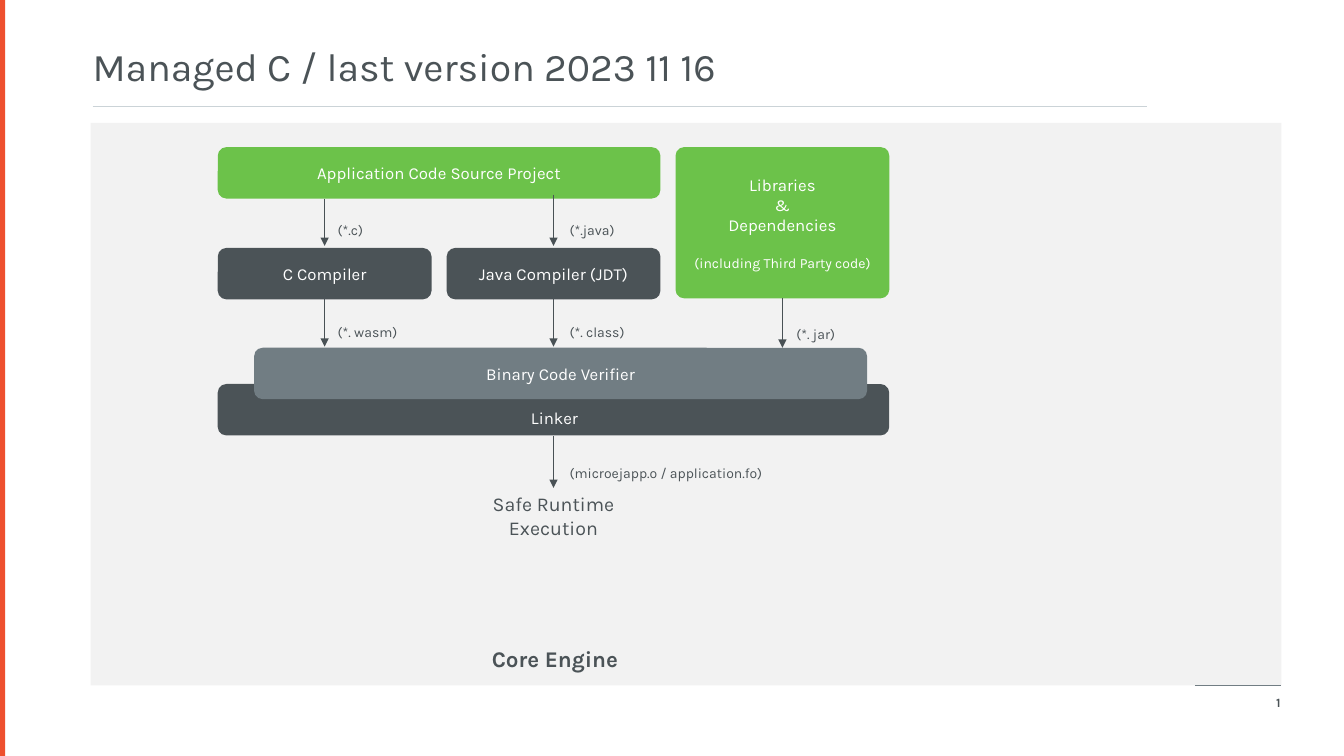
from dataclasses import dataclass

import pptx
import pptx.dml.color
import pptx.enum.shapes
import pptx.enum.text
import pptx.oxml
import pptx.oxml.ns
import pptx.util

Inches = pptx.util.Inches
Align = pptx.enum.text.PP_ALIGN
Anchor = pptx.enum.text.MSO_ANCHOR
ShapeType = pptx.enum.shapes.MSO_SHAPE

COLORS = {
    "orange": "EE502E", "panel": "F2F2F2", "green": "6CC24A", "dark": "4B5357",
    "slate": "717D83", "arrow": "495155", "rule": "CBD3D7", "white": "FFFFFF",
}
FONT = "Karla"
INSETS = ("margin_left", "margin_top", "margin_right", "margin_bottom")


@dataclass
class Text:
    lines: tuple[str, ...]
    size: float = 12
    color: str = "white"
    bold: bool = False
    align: Align = Align.CENTER
    anchor: Anchor = Anchor.MIDDLE
    insets: tuple[float, ...] = (0.1, 0.05, 0.1, 0.05)


@dataclass
class Block:
    left: float
    top: float
    width: float
    height: float
    fill: str
    text: Text | None = None
    kind: ShapeType = ShapeType.ROUNDED_RECTANGLE
    radius: float | None = None


@dataclass
class Label:
    left: float
    top: float
    width: float
    height: float
    text: Text


@dataclass
class Line:
    start: tuple[float, float]
    end: tuple[float, float]
    color: str = "arrow"
    weight: float = 1
    arrow: bool = True


def rgb(name: str) -> pptx.dml.color.RGBColor:
    return pptx.dml.color.RGBColor.from_string(COLORS[name])


def write_text(frame, text: Text) -> None:
    formats = {"word_wrap": True, "vertical_anchor": text.anchor}
    formats.update(zip(INSETS, map(Inches, text.insets)))
    for name, value in formats.items():
        setattr(frame, name, value)
    for index, line in enumerate(text.lines):
        paragraph = frame.paragraphs[0] if index == 0 else frame.add_paragraph()
        paragraph.alignment = text.align
        run = paragraph.add_run()
        run.text = line
        font = {"name": FONT, "size": pptx.util.Pt(text.size), "bold": text.bold}
        for name, value in font.items():
            setattr(run.font, name, value)
        run.font.color.rgb = rgb(text.color)


def add_block(slide, block: Block):
    shape = slide.shapes.add_shape(
        block.kind, *map(Inches, (block.left, block.top, block.width, block.height)))
    shape.shadow.inherit = False
    shape.fill.solid()
    shape.fill.fore_color.rgb = rgb(block.fill)
    shape.line.fill.background()
    if block.radius is not None:
        shape.adjustments[0] = block.radius
    if block.text:
        write_text(shape.text_frame, block.text)
    return shape


def add_label(slide, label: Label) -> None:
    box = slide.shapes.add_textbox(
        *map(Inches, (label.left, label.top, label.width, label.height)))
    write_text(box.text_frame, label.text)


def add_line(slide, line: Line) -> None:
    connector = slide.shapes.add_connector(
        pptx.enum.shapes.MSO_CONNECTOR.STRAIGHT, *map(Inches, line.start + line.end))
    connector.line.color.rgb = rgb(line.color)
    connector.line.width = pptx.util.Pt(line.weight)
    if line.arrow:
        tail = pptx.oxml.parse_xml(
            f'<a:tailEnd {pptx.oxml.ns.nsdecls("a")} type="triangle"/>')
        connector.line._get_or_add_ln().append(tail)
    effects = pptx.oxml.parse_xml(f'<a:effectLst {pptx.oxml.ns.nsdecls("a")}/>')
    connector._element.spPr.append(effects)


def file_label(left: float, top: float, name: str, width: float = 1.3) -> Label:
    text = Text((name,), 10, "dark", align=Align.LEFT, anchor=Anchor.TOP,
                insets=(0.08, 0.04, 0.04, 0.04))
    return Label(left, top, width, 0.25, text)


# Three columns share a width and a pitch; arrows run down their centres
COLUMN_WIDTH, BAR_HEIGHT = 2.12, 0.51
COLUMNS = [2.16 + 2.27 * index for index in range(3)]
C_AXIS, JAVA_AXIS, LIBRARY_AXIS = (left + COLUMN_WIDTH / 2 for left in COLUMNS)
FULL_WIDTH = COLUMNS[2] + COLUMN_WIDTH - COLUMNS[0]
SOURCE_WIDTH = COLUMNS[1] + COLUMN_WIDTH - COLUMNS[0]

BACKGROUND = [
    Block(0, 0, 0.05, 7.5, "orange", kind=ShapeType.RECTANGLE),
    Block(0.9, 1.22, 11.81, 5.58, "panel", radius=0),
]
BARS = [
    Block(COLUMNS[0], 1.46, SOURCE_WIDTH, BAR_HEIGHT, "green",
          Text(("Application Code Source Project",))),
    Block(COLUMNS[0], 2.46, COLUMN_WIDTH, BAR_HEIGHT, "dark", Text(("C Compiler",))),
    Block(COLUMNS[1], 2.46, COLUMN_WIDTH, BAR_HEIGHT, "dark",
          Text(("Java Compiler (JDT)",))),
    Block(COLUMNS[0], 3.81, FULL_WIDTH, BAR_HEIGHT, "dark",
          Text(("Linker",), insets=(0.12, 0.17, 0.1, 0))),
    Block(2.52, 3.45, 6.08, BAR_HEIGHT, "slate", Text(("Binary Code Verifier",))),
]
LIBRARIES = Block(
    COLUMNS[2], 1.46, COLUMN_WIDTH, 1.5, "green",
    Text(("Libraries", "&", "Dependencies", "(including Third Party code)")),
    radius=0.056)
LINES = [
    Line((0.92, 1.06), (11.38, 1.06), "rule", 0.75, False),
    Line((11.85, 6.8), (12.71, 6.8), "slate", 1, False),
    Line((C_AXIS, 1.97), (C_AXIS, 2.44)),
    Line((JAVA_AXIS, 1.93), (JAVA_AXIS, 2.44)),
    Line((C_AXIS, 2.97), (C_AXIS, 3.44)),
    Line((JAVA_AXIS, 2.97), (JAVA_AXIS, 3.44)),
    Line((LIBRARY_AXIS, 2.96), (LIBRARY_AXIS, 3.45)),
    Line((JAVA_AXIS, 4.33), (JAVA_AXIS, 4.84)),
]
LABELS = [
    Label(0.82, 0.37, 12.4, 0.57,
          Text(("Managed C / last version 2023 11 16",), 28, "dark",
               align=Align.LEFT, anchor=Anchor.TOP)),
    file_label(3.27, 2.16, "(*.c)"),
    file_label(5.57, 2.16, "(*.java)"),
    file_label(3.27, 3.17, "(*. wasm)"),
    file_label(5.57, 3.17, "(*. class)"),
    file_label(7.82, 3.19, "(*. jar)", 0.83),
    file_label(5.57, 4.57, "(microejapp.o / application.fo)", 2.1),
    Label(4.47, 4.84, 2.04, 0.54,
          Text(("Safe Runtime Execution",), 14, "dark", anchor=Anchor.TOP,
               insets=(0.04,) * 4)),
    Label(4.78, 6.37, 1.66, 0.33,
          Text(("Core Engine",), 16, "dark", True, Align.LEFT,
               insets=(0.1, 0.04, 0.1, 0.04))),
    Label(12.21, 6.77, 0.59, 0.4, Text(("1",), 9, "dark", True, Align.RIGHT)),
]


def main() -> None:
    presentation = pptx.Presentation()
    presentation.slide_width = Inches(13.33)
    presentation.slide_height = Inches(7.5)
    slide = presentation.slides.add_slide(presentation.slide_layouts[6])

    # Panel and diagram bars
    for block in BACKGROUND + BARS:
        add_block(slide, block)

    # Libraries box, with a smaller note set apart below
    note = add_block(slide, LIBRARIES).text_frame.paragraphs[-1]
    note.space_before = pptx.util.Pt(14)
    note.runs[0].font.size = pptx.util.Pt(10)

    # Rules, arrows and labels
    for line in LINES:
        add_line(slide, line)
    for label in LABELS:
        add_label(slide, label)
    presentation.save("out.pptx")


if __name__ == "__main__":
    main()
